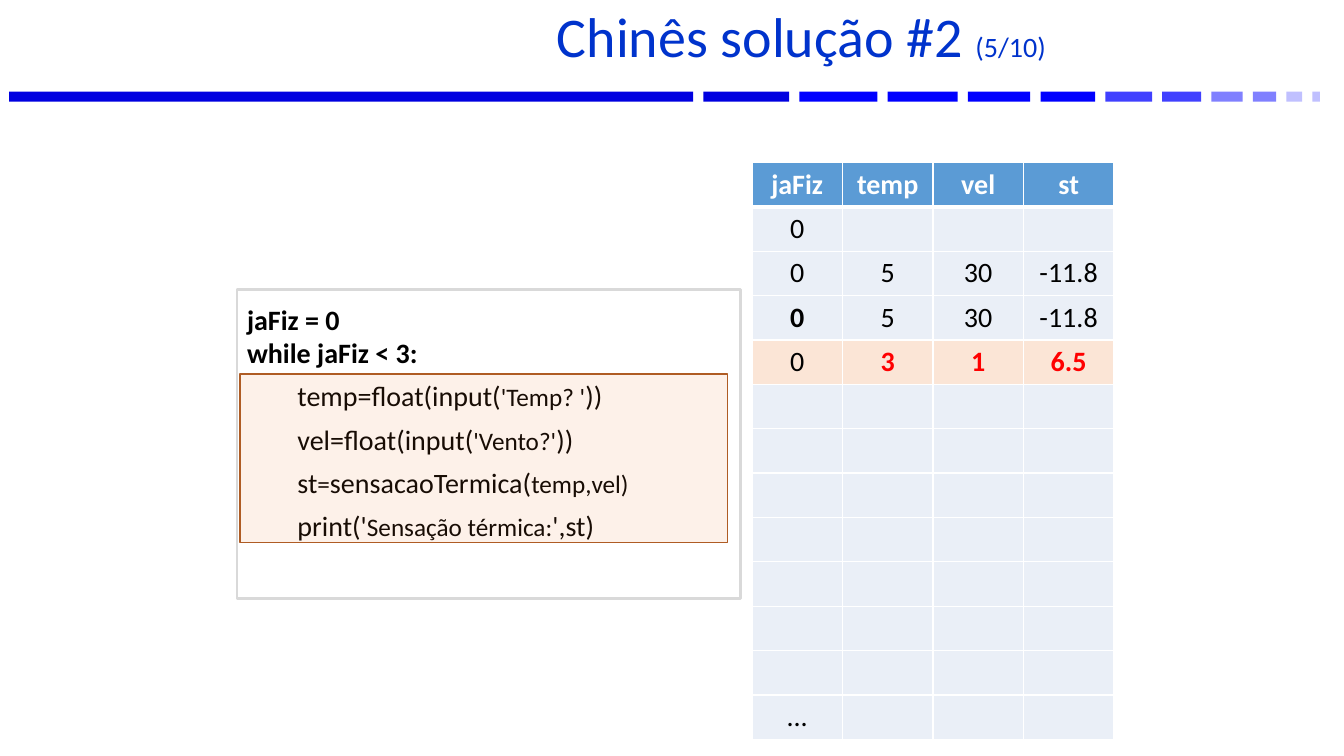
from dataclasses import dataclass

from lxml import etree
from pptx import Presentation
from pptx.dml.color import RGBColor
from pptx.enum import shapes, text
from pptx.oxml import ns
from pptx.util import Inches, Pt


@dataclass(frozen=True)
class Theme:
    font: str = "Calibri"
    title: str = "0033CC"
    ink: str = "000000"
    white: str = "FFFFFF"
    header: str = "5B9BD5"
    body: str = "EAEFF7"
    current: str = "FBE5D6"
    changed: str = "FF0000"
    frame: str = "D9D9D9"
    accent: str = "ED7D31"
    accent_line: str = "AF5C24"
    title_size: int = 40
    size: int = 20
    small: int = 18


T = Theme()
WIDTH, HEIGHT = Inches(13.333), Inches(7.5)

BAR_COLORS = (["0000E0"] + ["0000FF"] * 4 + ["4040FF"] * 2
              + ["8080FF"] * 2 + ["C0C0FF"] * 2)
HEADINGS = ["jaFiz", "temp", "vel", "st"]
STEPS = [
    ["0"],
    ["0", "5", "30", "-11.8"],
    ["0", "5", "30", "-11.8"],
    ["0", "3", "1", "6.5"],
    *[[] for _ in range(7)],
    ["..."],
]
BOLD_STEP, CURRENT_STEP = 3, 4
SETUP = ["jaFiz = 0", "while jaFiz < 3:"]
LOOP = [
    ["temp=float(input(", "'Temp? '", "))"],
    ["vel=float(input(", "'Vento?'", "))"],
    ["st", "=", "sensacaoTermica(", "temp,vel)"],
    ["print('", "Sensação térmica:", "',st)"],
]


def rgb(value):
    return RGBColor.from_string(value)


def x(percent):
    return round(WIDTH * percent / 100)


def y(percent):
    return round(HEIGHT * percent / 100)


def area(left, top, width, height):
    return x(left), y(top), x(width), y(height)


def style(p, color, bold=False, size=None):
    p.font.name = T.font
    p.font.color.rgb = rgb(color)
    p.font.bold = bold
    if size:
        p.font.size = Pt(size)


def add_runs(p, parts, sizes):
    for i, part in enumerate(parts):
        r = p.add_run()
        r.text = part
        r.font.size = Pt(sizes[i % len(sizes)])


def add_box(s, place, fill, line=None, line_width=1, alpha=None):
    sp = s.shapes.add_shape(shapes.MSO_SHAPE.RECTANGLE, *place)
    sp.shadow.inherit = False
    sp.fill.solid()
    sp.fill.fore_color.rgb = rgb(fill)
    if alpha:
        color = sp.fill._xPr.find(".//" + ns.qn("a:srgbClr"))
        etree.SubElement(color, ns.qn("a:alpha"), val=str(alpha * 1000))
    if line:
        sp.line.color.rgb = rgb(line)
        sp.line.width = Pt(line_width)
    else:
        sp.line.fill.background()
    return sp


def add_rule(s):
    add_box(s, area(0.68, 12.13, 50.9, 1.33), BAR_COLORS[0])
    left, gap = 52.34, 0.76
    for i, color in enumerate(BAR_COLORS):
        width = 6.38 - 0.58 * i
        add_box(s, area(left, 12.13, width, 1.33), color)
        left += width + gap


def add_title(s):
    tf = s.shapes.add_textbox(*area(19.28, 0.8, 80.7, 9.33)).text_frame
    tf.word_wrap = True
    tf.vertical_anchor = text.MSO_ANCHOR.MIDDLE
    p = tf.paragraphs[0]
    p.alignment = text.PP_ALIGN.CENTER
    p.line_spacing = 0.8
    style(p, T.title)
    add_runs(p, ["Chinês solução #2 ", "(5/10)"], [T.title_size, T.size])


def set_borders(cell, top, bottom):
    pr = cell._tc.get_or_add_tcPr()
    for side, width in zip("LRTB", (1, 1, top, bottom)):
        ln = etree.SubElement(pr, ns.qn("a:ln" + side), w=str(Pt(width)))
        fill = etree.SubElement(ln, ns.qn("a:solidFill"))
        etree.SubElement(fill, ns.qn("a:srgbClr"), val=T.white)


def fill_cell(cell, value, row, col):
    set_borders(cell, 3 if row == 1 else 1, 3 if row == 0 else 1)
    fill = {0: T.header, CURRENT_STEP: T.current}.get(row, T.body)
    cell.fill.solid()
    cell.fill.fore_color.rgb = rgb(fill)
    cell.vertical_anchor = text.MSO_ANCHOR.MIDDLE
    if not value:
        return
    changed = row == CURRENT_STEP and col > 0
    color = T.white if row == 0 else T.changed if changed else T.ink
    bold = row == 0 or changed or (row, col) == (BOLD_STEP, 0)
    p = cell.text_frame.paragraphs[0]
    p.alignment = text.PP_ALIGN.CENTER
    style(p, color, bold, T.size)
    p.add_run().text = value


def add_trace(s):
    rows = [HEADINGS] + STEPS
    place = area(55.95, 21.47, 26.93, 5.87 * len(rows))
    table = s.shapes.add_table(len(rows), len(HEADINGS), *place).table
    for i, row in enumerate(rows):
        for j in range(len(HEADINGS)):
            fill_cell(table.cell(i, j), row[j] if j < len(row) else "", i, j)


def add_code(s):
    sp = add_box(s, area(17.63, 38.27, 37.5, 40.93), T.white, T.frame, 2)
    tf = sp.text_frame
    tf.word_wrap = True
    tf.vertical_anchor = text.MSO_ANCHOR.MIDDLE
    tf.margin_left = tf.margin_right = x(0.75)
    tf.margin_top, tf.margin_bottom = 0, y(5.8)
    for i, parts in enumerate([[line] for line in SETUP] + LOOP):
        p = tf.paragraphs[0] if i == 0 else tf.add_paragraph()
        p.alignment = text.PP_ALIGN.LEFT
        in_loop = i >= len(SETUP)
        if in_loop:
            p.level = 1
            p.line_spacing = 1.2
            p.space_before = Pt(2)
            pr = p._p.get_or_add_pPr()
            pr.set("marL", str(x(3.75)))
            pr.set("indent", "0")
        style(p, T.ink, not in_loop)
        add_runs(p, parts, [T.size, T.small])


def main():
    prs = Presentation()
    prs.slide_width, prs.slide_height = WIDTH, HEIGHT
    s = prs.slides.add_slide(prs.slide_layouts[6])
    add_rule(s)
    add_trace(s)
    add_title(s)
    add_code(s)
    add_box(s, area(17.85, 49.47, 36.3, 22.27), T.accent, T.accent_line, 1, 10)
    prs.save("out.pptx")


if __name__ == "__main__":
    main()
